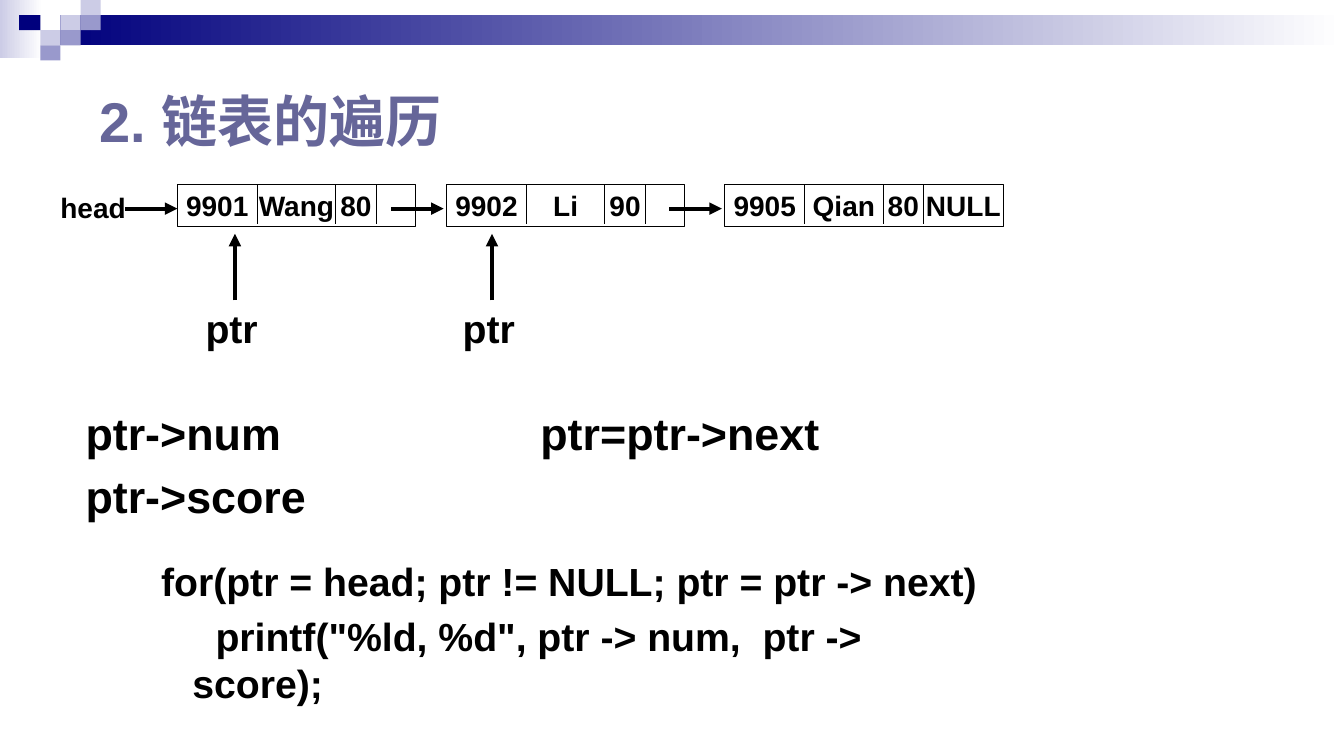
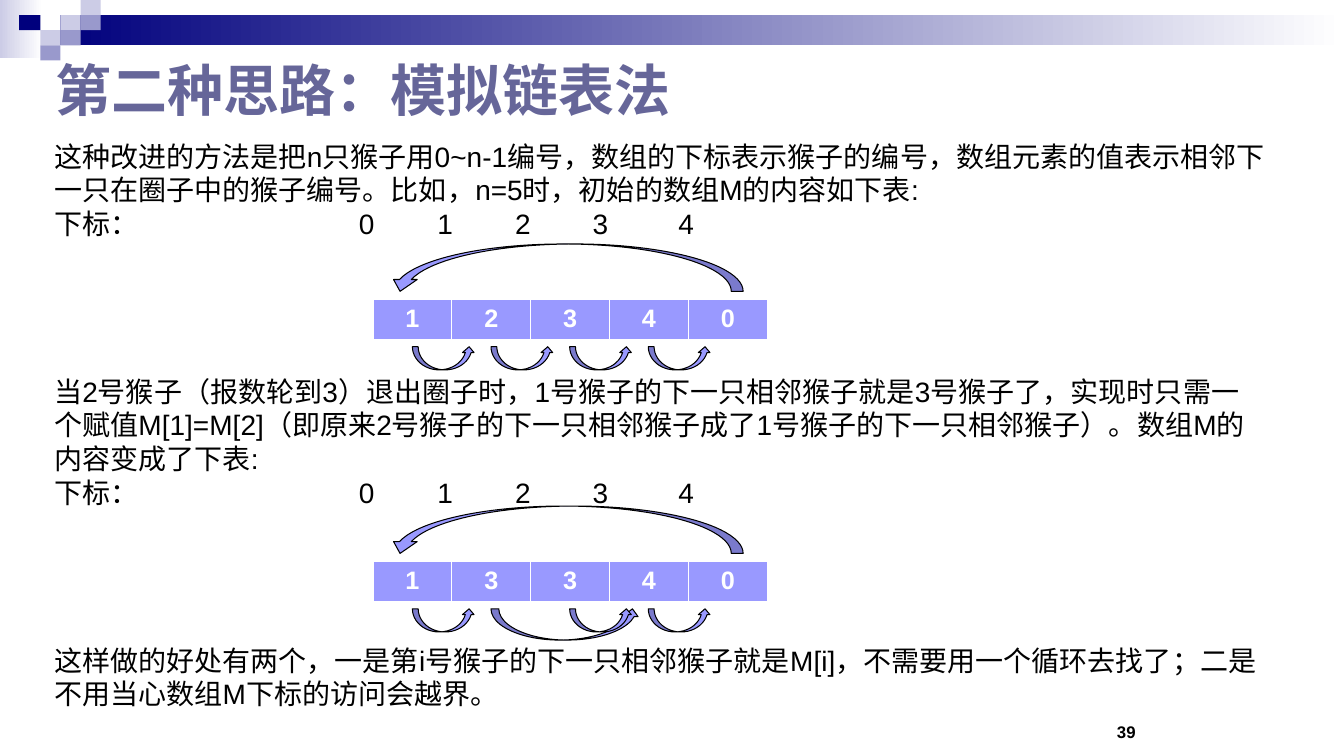
import pptx
import pptx.util
import pptx.dml.color
import pptx.enum.shapes
import pptx.enum.text
import pptx.oxml
from lxml import etree

Inches, Pt = pptx.util.Inches, pptx.util.Pt
RGBColor = pptx.dml.color.RGBColor
SHAPE = pptx.enum.shapes.MSO_SHAPE
ALIGN, ANCHOR = pptx.enum.text.PP_ALIGN, pptx.enum.text.MSO_ANCHOR

BLACK = RGBColor(0x00, 0x00, 0x00)
WHITE = RGBColor(0xFF, 0xFF, 0xFF)
NAVY = RGBColor(0x00, 0x00, 0x7D)
PALE = RGBColor(0xCC, 0xCC, 0xE6)
MID = RGBColor(0x99, 0x99, 0xCC)
SLATE = RGBColor(0x66, 0x66, 0x99)
LILAC = RGBColor(0x99, 0x99, 0xFF)
FONT = "Arial"
TITLE = dict(size=40, color=SLATE, anchor=ANCHOR.MIDDLE)


def text(s, box, content, size=20, bold=True, color=BLACK, align=ALIGN.LEFT,
         anchor=ANCHOR.TOP, wrap=True, before=0, inset=0.1):
    """Add a text box with one paragraph per line and return its paragraphs."""
    tf = s.shapes.add_textbox(*map(Inches, box)).text_frame
    tf.word_wrap, tf.vertical_anchor = wrap, anchor
    tf.margin_left = tf.margin_right = Inches(inset)
    tf.text = content
    for p in tf.paragraphs:
        p.alignment, p.space_before = align, Pt(before)
        for r in p.runs:
            r.font.name, r.font.size, r.font.bold = FONT, Pt(size), bold
            r.font.color.rgb = color
    return tf.paragraphs


def shape(s, kind, box, fill=None, line=None):
    """Add a preset shape; a pair of colours makes a left-to-right gradient."""
    sp = s.shapes.add_shape(kind, *map(Inches, box))
    sp.shadow.inherit = False
    if fill is None:
        sp.fill.background()
    elif isinstance(fill, RGBColor):
        sp.fill.solid()
        sp.fill.fore_color.rgb = fill
    else:
        sp.fill.gradient()
        sp.fill.gradient_angle = 0
        for stop, color in zip(sp.fill.gradient_stops, fill):
            stop.color.rgb = color
    if line is None:
        sp.line.fill.background()
    else:
        sp.line.color.rgb, sp.line.width = line, Pt(0.75)
    return sp


prs = pptx.Presentation()
prs.slide_width, prs.slide_height = Inches(13.33), Inches(7.5)
slides = [prs.slides.add_slide(prs.slide_layouts[6]) for _ in range(2)]

# Shared header band
BAND = [
    ((0, 0, 0.42, 0.58), (PALE, WHITE)),
    ((0.6, 0.15, 12.73, 0.3), (NAVY, WHITE)),
    ((0.6, 0.15, 0.2, 0.15), PALE),
    ((0.8, 0, 0.2, 0.15), PALE),
    ((0.8, 0.15, 0.2, 0.15), MID),
    ((0.4, 0.3, 0.2, 0.15), PALE),
    ((0.19, 0.15, 0.21, 0.15), NAVY),
    ((0.6, 0.3, 0.2, 0.15), MID),
    ((0.4, 0.45, 0.2, 0.15), MID),
]
for s in slides:
    for box, fill in BAND:
        shape(s, SHAPE.RECTANGLE, box, fill)

# Slide 1: traversing a linked list
s = slides[0]
text(s, (0.89, 0.65, 4.08, 1.08), "2. 链表的遍历", **TITLE)

# List nodes: number, name, score, next
NODE_TOP, NODE_H = 1.83, 0.42
NODES = [
    (1.76, 2.36, ["9901", "Wang", "80", ""]),
    (4.43, 2.36, ["9902", "Li", "90", ""]),
    (7.19, 2.76, ["9905", "Qian", "80", "NULL"]),
]
DIVIDERS = [0.79, 1.57, 1.97]
lines = []  # x1, y1, x2, y2, is arrow
for left, width, fields in NODES:
    shape(s, SHAPE.RECTANGLE, (left, NODE_TOP, width, NODE_H), line=BLACK)
    edges = [0, *DIVIDERS, width]
    for start, end, field in zip(edges, edges[1:], fields):
        if field:
            text(s, (left + start, NODE_TOP, end - start, NODE_H), field, inset=0,
                 align=ALIGN.CENTER, anchor=ANCHOR.MIDDLE, wrap=False)
    for dx in DIVIDERS:
        lines.append((left + dx, NODE_TOP, left + dx, 2.22, False))

# Pointers
text(s, (0.5, 1.84, 0.85, 0.43), "head", wrap=False)
for x in (1.24, 3.88, 6.64):
    lines.append((x, 2.07, x + 0.52, 2.07, True))
for x in (2.33, 4.88):
    lines.append((x, 2.98, x, 2.32, True))
    text(s, (x - 0.39, 2.97, 0.72, 0.57), "ptr", size=28, wrap=False)

for x1, y1, x2, y2, is_arrow in lines:
    c = s.shapes.add_connector(pptx.enum.shapes.MSO_CONNECTOR.STRAIGHT,
                               *map(Inches, (x1, y1, x2, y2)))
    c.line.color.rgb, c.line.width = BLACK, Pt(3 if is_arrow else 0.75)
    if is_arrow:
        tail = etree.SubElement(c.line._get_or_add_ln(), pptx.oxml.ns.qn("a:tailEnd"))
        tail.set("type", "triangle")
    etree.SubElement(c._element.spPr, pptx.oxml.ns.qn("a:effectLst"))

# Expressions and code
text(s, (0.75, 3.98, 2.5, 1.33), "ptr->num\nptr->score", size=32, before=6.4)
text(s, (4.41, 3.98, 4.67, 1.33), "ptr=ptr->next", size=32, before=6.4,
     align=ALIGN.CENTER)
code = text(s, (1, 5.48, 9, 1.33),
            "for(ptr = head; ptr != NULL; ptr = ptr -> next)\n"
            'printf("%ld, %d", ptr -> num,  ptr -> score);', size=28, before=5.6)
for p, indent in zip(code, (-0.31, 0.23)):
    pPr = p._p.get_or_add_pPr()
    pPr.set("marL", str(Inches(0.81)))
    pPr.set("indent", str(Inches(indent)))

# Slide 2: linked list simulated by an array
s = slides[1]
text(s, (0.45, 0.48, 10.64, 0.81), "第二种思路：模拟链表法", **TITLE)
text(s, (10.98, 6.89, 0.88, 0.52), "39", size=12, anchor=ANCHOR.BOTTOM)

INDEX_ROW = "下标：\t0\t1\t2\t3\t4"
body = text(s, (0.44, 1.33, 12.21, 5.82), "\n".join([
    "这种改进的方法是把n只猴子用0~n-1编号，数组的下标表示猴子的编号，数组元素的值表示相邻"
    "下一只在圈子中的猴子编号。比如，n=5时，初始的数组M的内容如下表:",
    INDEX_ROW,
    "当2号猴子（报数轮到3）退出圈子时，1号猴子的下一只相邻猴子就是3号猴子了，实现时只需"
    "一个赋值M[1]=M[2]（即原来2号猴子的下一只相邻猴子成了1号猴子的下一只相邻猴子）。数组"
    "M的内容变成了下表:",
    INDEX_ROW,
    "这样做的好处有两个，一是第i号猴子的下一只相邻猴子就是M[i]，不需要用一个循环去找了；"
    "二是不用当心数组M下标的访问会越界。",
]), bold=False)
for p in body[2::2]:
    p.space_before = Pt(96)  # room for an array
for p in body[1::2]:
    tabs = etree.SubElement(p._p.get_or_add_pPr(), pptx.oxml.ns.qn("a:tabLst"))
    for pos in (3.02, 3.8, 4.57, 5.34, 6.19):
        tab = etree.SubElement(tabs, pptx.oxml.ns.qn("a:tab"))
        tab.set("pos", str(Inches(pos)))
        tab.set("algn", "l")

# Arrays with arrows from each monkey to the next
CELL_W = 0.78
ARC, WIDE_ARC = (0.62, 0.23), (1.48, 0.31)
ARRAYS = [
    (2.97, "12340", [ARC, ARC, ARC, ARC]),
    (5.57, "13340", [ARC, WIDE_ARC, ARC, ARC]),
]
for top, values, arcs in ARRAYS:
    table = s.shapes.add_table(1, len(values), Inches(3.7), Inches(top),
                               Inches(3.91), Inches(0.4)).table
    for cell, value in zip(table.rows[0].cells, values):
        cell.fill.solid()
        cell.fill.fore_color.rgb = LILAC
        p = cell.text_frame.paragraphs[0]
        p.alignment = ALIGN.CENTER
        r = p.add_run()
        r.text = value
        r.font.name, r.font.size, r.font.bold = FONT, Pt(18), True
        r.font.color.rgb = WHITE
    for i, size in enumerate(arcs):
        shape(s, SHAPE.CURVED_UP_ARROW, (4.09 + i * CELL_W, top + 0.47, *size),
              LILAC, BLACK)
    back = shape(s, SHAPE.CURVED_UP_ARROW, (3.85, top - 0.55, 3.52, 0.47), LILAC, BLACK)
    back.rotation = 180

prs.save("out.pptx")
